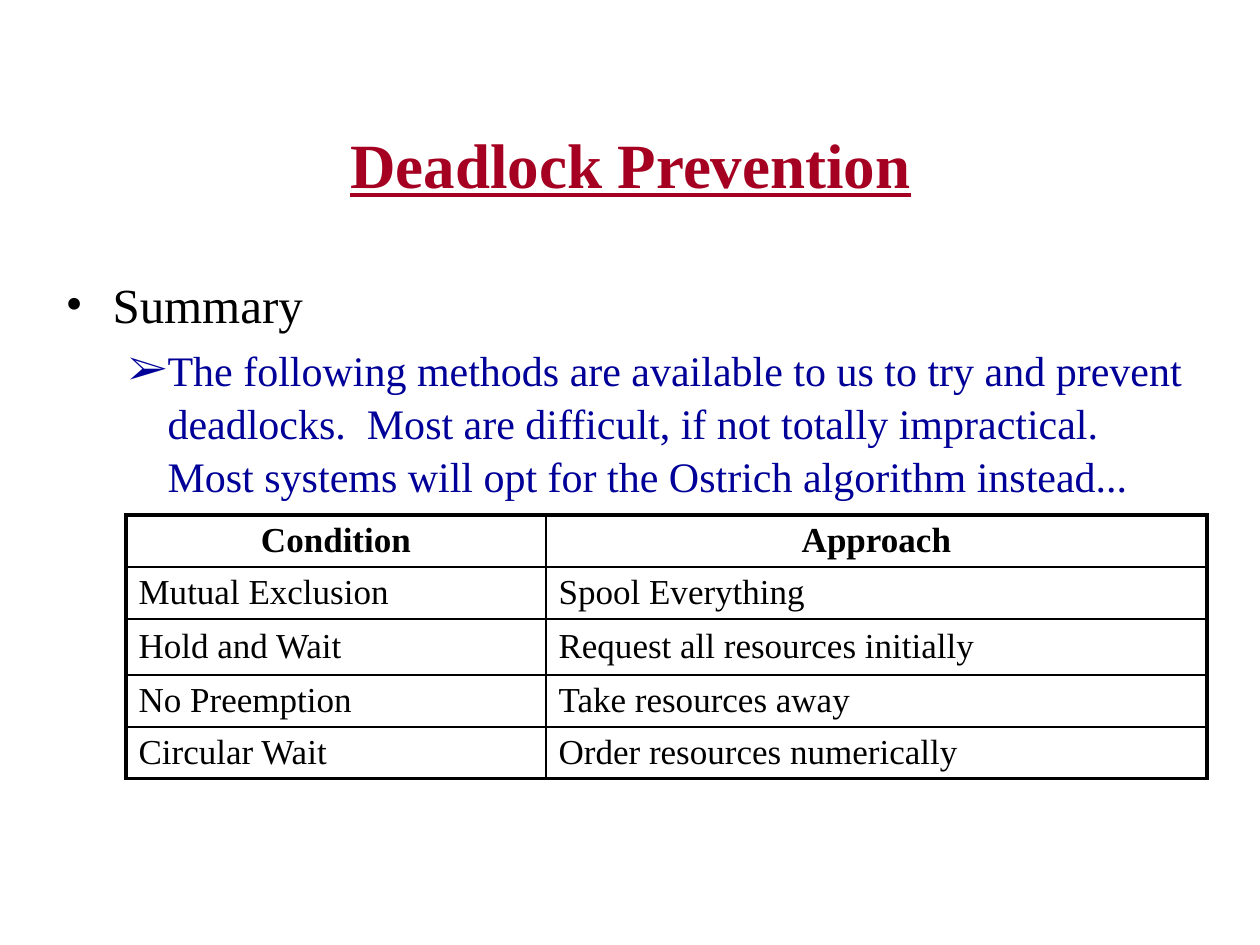
from dataclasses import dataclass

from lxml.etree import SubElement
from pptx import Presentation
from pptx.dml.color import RGBColor
from pptx.enum.text import MSO_ANCHOR, MSO_AUTO_SIZE, PP_ALIGN
from pptx.oxml.ns import qn
from pptx.util import Emu, Pt

BLACK = RGBColor(0x00, 0x00, 0x00)
RED = RGBColor(0xA5, 0x00, 0x21)
BLUE = RGBColor(0x00, 0x00, 0x99)
FACE = "Times New Roman"
SCALE = 914400 / 126
THIN, THICK = 1, 2.25


@dataclass(frozen=True)
class Box:
    left: int
    top: int
    width: int
    height: int


@dataclass(frozen=True)
class Point:
    text: str
    level: int
    mark: str
    margin: int
    indent: int
    size: int
    color: RGBColor
    before: int


TITLE = Box(95, 84, 1071, 158)
BODY = Box(53, 265, 1155, 285)
GRID = Box(126, 515, 1081, 263)
COLS = [420, 661]
ROWS = [52, 52, 56, 52, 51]

POINTS = [
    Point("Summary", 0, "•", 47, -47, 28, BLACK, 0),
    Point(
        "The following methods are available to us to try and prevent deadlocks.  "
        "Most are difficult, if not totally impractical.  "
        "Most systems will opt for the Ostrich algorithm instead...",
        1, "➢", 102, -39, 24, BLUE, 5,
    ),
]

CELLS = [
    ("Condition", "Approach"),
    ("Mutual Exclusion", "Spool Everything"),
    ("Hold and Wait", "Request all resources initially"),
    ("No Preemption", "Take resources away"),
    ("Circular Wait", "Order resources numerically"),
]


def px(count: int) -> Emu:
    return Emu(round(count * SCALE))


def place(shape, box: Box) -> None:
    shape.left, shape.top = px(box.left), px(box.top)
    shape.width, shape.height = px(box.width), px(box.height)


def style(para, size: int, color: RGBColor, bold: bool = False, line: bool = False) -> None:
    for run in para.runs:
        font = run.font
        font.name, font.size, font.bold, font.underline = FACE, Pt(size), bold, line
        font.color.rgb = color


def add_title(shape, text: str) -> None:
    place(shape, TITLE)
    frame = shape.text_frame
    frame.text = text
    frame.auto_size = MSO_AUTO_SIZE.NONE
    frame.vertical_anchor = MSO_ANCHOR.MIDDLE
    para = frame.paragraphs[0]
    para.alignment = PP_ALIGN.CENTER
    style(para, 36, RED, bold=True, line=True)


def add_points(shape, points: list[Point]) -> None:
    place(shape, BODY)
    frame = shape.text_frame
    frame.text = "\n".join(point.text for point in points)
    frame.auto_size = MSO_AUTO_SIZE.NONE
    for para, point in zip(frame.paragraphs, points):
        para.level = point.level
        props = para._p.get_or_add_pPr()
        props.set("marL", str(px(point.margin)))
        props.set("indent", str(px(point.indent)))
        SubElement(props, qn("a:buFont"), typeface=FACE)
        SubElement(props, qn("a:buChar"), char=point.mark)
        para.line_spacing = 1.05
        para.space_before = Pt(point.before)
        style(para, point.size, point.color)


def add_edge(cell, side: str, width: float) -> None:
    props = cell._tc.get_or_add_tcPr()
    edge = SubElement(props, qn(f"a:{side}"), w=str(Pt(width)))
    fill = SubElement(edge, qn("a:solidFill"))
    SubElement(fill, qn("a:srgbClr"), val=str(BLACK))


def fill_cell(cell, text: str, head: bool, edges: dict[str, float]) -> None:
    cell.text = text
    cell.vertical_anchor = MSO_ANCHOR.MIDDLE
    para = cell.text_frame.paragraphs[0]
    para.alignment = PP_ALIGN.CENTER if head else PP_ALIGN.LEFT
    style(para, 20, BLACK, bold=head)
    for side, width in edges.items():
        add_edge(cell, side, width)
    cell.fill.background()


def add_grid(slide) -> None:
    frame = slide.shapes.add_table(
        len(ROWS), len(COLS), px(GRID.left), px(GRID.top), px(GRID.width), px(GRID.height)
    )
    table = frame.table
    table.first_row = table.horz_banding = False
    for col, width in zip(table.columns, COLS):
        col.width = px(width)
    for row, height in zip(table.rows, ROWS):
        row.height = px(height)
    for r, texts in enumerate(CELLS):
        for c, text in enumerate(texts):
            outer = {
                "lnL": c == 0,
                "lnR": c == len(COLS) - 1,
                "lnT": r == 0,
                "lnB": r == len(ROWS) - 1,
            }
            edges = {side: THICK if out else THIN for side, out in outer.items()}
            fill_cell(table.cell(r, c), text, r == 0, edges)


def main() -> None:
    deck = Presentation()
    deck.slide_width, deck.slide_height = px(1260), px(945)
    slide = deck.slides.add_slide(deck.slide_layouts[1])
    add_title(slide.shapes.title, "Deadlock Prevention")
    add_points(slide.placeholders[1], POINTS)
    add_grid(slide)
    deck.save("out.pptx")


if __name__ == "__main__":
    main()
